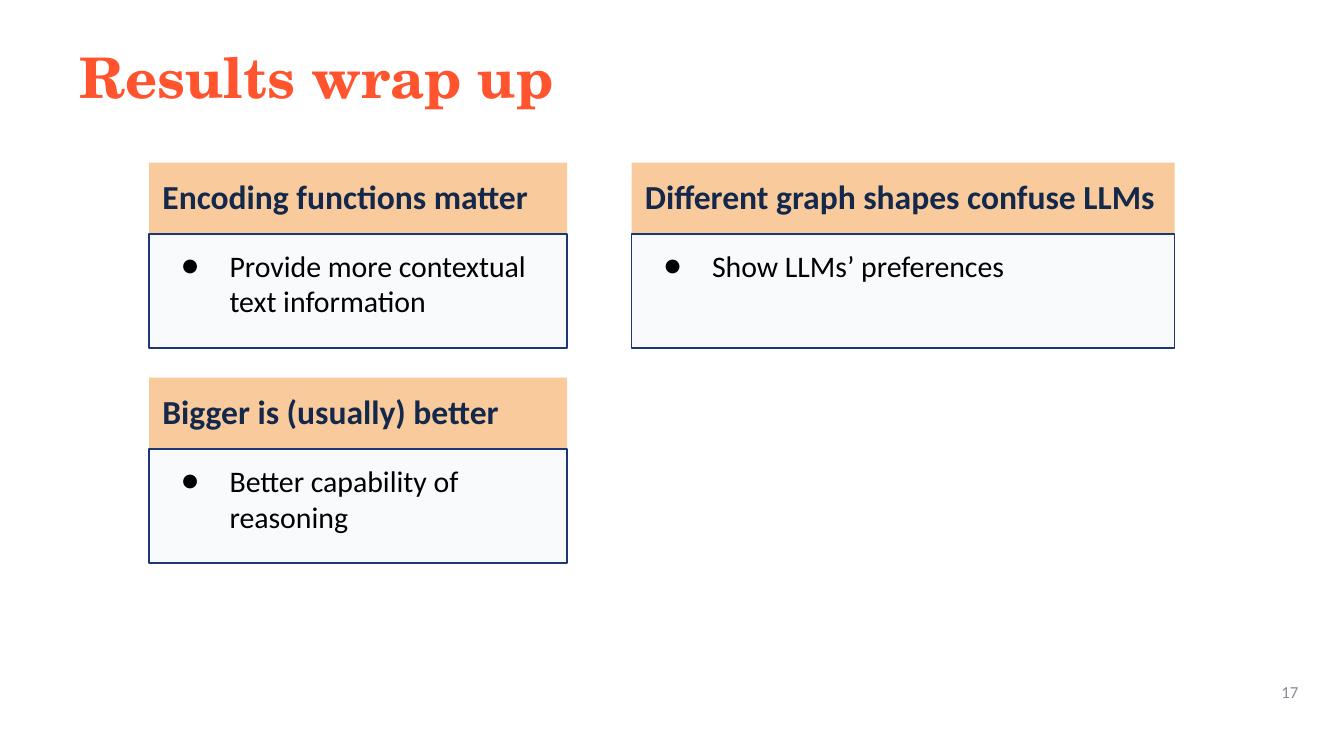
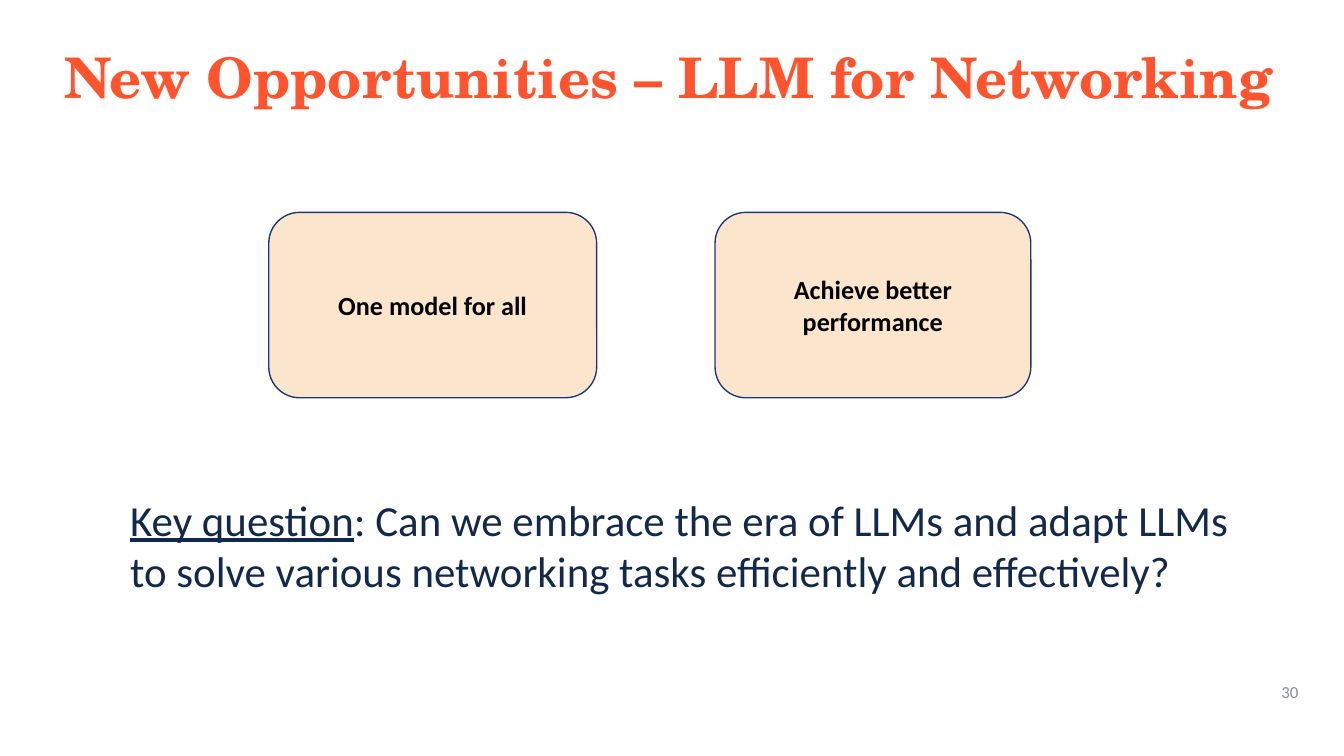
from lxml import etree
from pptx import Presentation
from pptx.dml.color import RGBColor
from pptx.enum import shapes, text
from pptx.oxml.ns import qn
from pptx.util import Inches, Pt

INK = {"title": "FF542E", "navy": "13284B", "deep": "13294B", "edge": "1E3877",
       "head": "F9CB9C", "body": "F8FAFC", "tile": "FCE5CD",
       "black": "000000", "page": "888B94"}
SANS, SERIF = "Calibri", "TeX Gyre Schola"
RECT = shapes.MSO_SHAPE.RECTANGLE
ROUND = shapes.MSO_SHAPE.ROUNDED_RECTANGLE
MID = text.MSO_ANCHOR.MIDDLE

WRAP = {"title": "Results wrap up", "left": 0.49, "wide": 9.03, "page": "17"}
CARDS = [
    (0, 0, "Encoding functions matter", "Provide more contextual text information"),
    (1, 0, "Different graph shapes confuse LLMs", "Show LLMs’ preferences"),
    (0, 1, "Bigger is (usually) better", "Better capability of reasoning"),
]
COLS = [(1.11, 3.11), (4.7, 4.04)]
TOP, STEP, HEAD, BODY = 1.21, 1.6, 0.53, 0.85

CHANCE = {"title": "New Opportunities – LLM for Networking",
          "left": 0.38, "wide": 9.39, "page": "30"}
TILES = [(2, 2.44, "One model for all"), (5.32, 2.35, "Achieve better performance")]
QUERY = ["Key question", ": Can we embrace the era of LLMs and adapt LLMs "
         "to solve various networking tasks efficiently and effectively?"]


def tint(ink):
    return RGBColor.from_string(INK[ink])


def write(shape, runs, size, ink, face=SANS, bold=False, align=text.PP_ALIGN.LEFT,
          anchor=text.MSO_ANCHOR.TOP, pad=(0.1, 0.1), dot=False):
    frame = shape.text_frame
    frame.word_wrap = True
    frame.vertical_anchor = anchor
    frame.margin_left = frame.margin_right = Inches(pad[0])
    frame.margin_top = frame.margin_bottom = Inches(pad[1])
    para = frame.paragraphs[0]
    para.alignment = align
    if dot:
        props = para._p.get_or_add_pPr()
        props.set("marL", str(Inches(0.5)))
        props.set("indent", str(Inches(-0.36)))
        color = etree.SubElement(props, qn("a:buClr"))
        etree.SubElement(color, qn("a:srgbClr"), val=INK[ink])
        etree.SubElement(props, qn("a:buSzPts"), val=str(size * 100))
        etree.SubElement(props, qn("a:buFont"), typeface=face)
        etree.SubElement(props, qn("a:buChar"), char="●")
    for words in runs:
        para.add_run().text = words
    font = para.font
    font.name, font.size, font.bold = face, Pt(size), bold
    font.color.rgb = tint(ink)
    return para


def label(slide, area, *args, **style):
    return write(slide.shapes.add_textbox(*map(Inches, area)), *args, **style)


def box(slide, kind, area, fill, edge=True):
    shape = slide.shapes.add_shape(kind, *map(Inches, area))
    shape.shadow.inherit = False
    shape.fill.solid()
    shape.fill.fore_color.rgb = tint(fill)
    if edge:
        shape.line.color.rgb = tint("edge")
        shape.line.width = Pt(0.75)
    else:
        shape.line.fill.background()
    return shape


def start(deck, info):
    slide = deck.slides.add_slide(deck.slide_layouts[6])
    label(slide, (info["left"], 0.22, info["wide"], 0.75), [info["title"]],
          30, "title", face=SERIF, bold=True)
    label(slide, (7.48, 5, 2.25, 0.3), [info["page"]], 9, "page",
          align=text.PP_ALIGN.RIGHT, anchor=MID, pad=(0.07, 0.04))
    return slide


def results(deck):
    slide = start(deck, WRAP)
    for col, row, head, point in CARDS:
        left, wide = COLS[col]
        top = TOP + row * STEP
        cap = box(slide, RECT, (left, top, wide, HEAD), "head", edge=False)
        write(cap, [head], 18, "navy", bold=True)
        body = box(slide, RECT, (left, top + HEAD, wide, BODY), "body")
        write(body, [point], 16, "black", dot=True)


def outlook(deck):
    slide = start(deck, CHANCE)
    for left, wide, words in TILES:
        tile = box(slide, ROUND, (left, 1.58, wide, 1.38), "tile")
        write(tile, [words], 14, "black", bold=True,
              align=text.PP_ALIGN.CENTER, anchor=MID)
    para = label(slide, (0.87, 3.57, 8.42, 1.04), QUERY, 23, "deep")
    para.runs[0].font.underline = True


def main():
    """Build both slides and save the deck."""
    deck = Presentation()
    deck.slide_width = Inches(10)
    deck.slide_height = deck.slide_width * 9 // 16
    results(deck)
    outlook(deck)
    deck.save("out.pptx")


if __name__ == "__main__":
    main()
